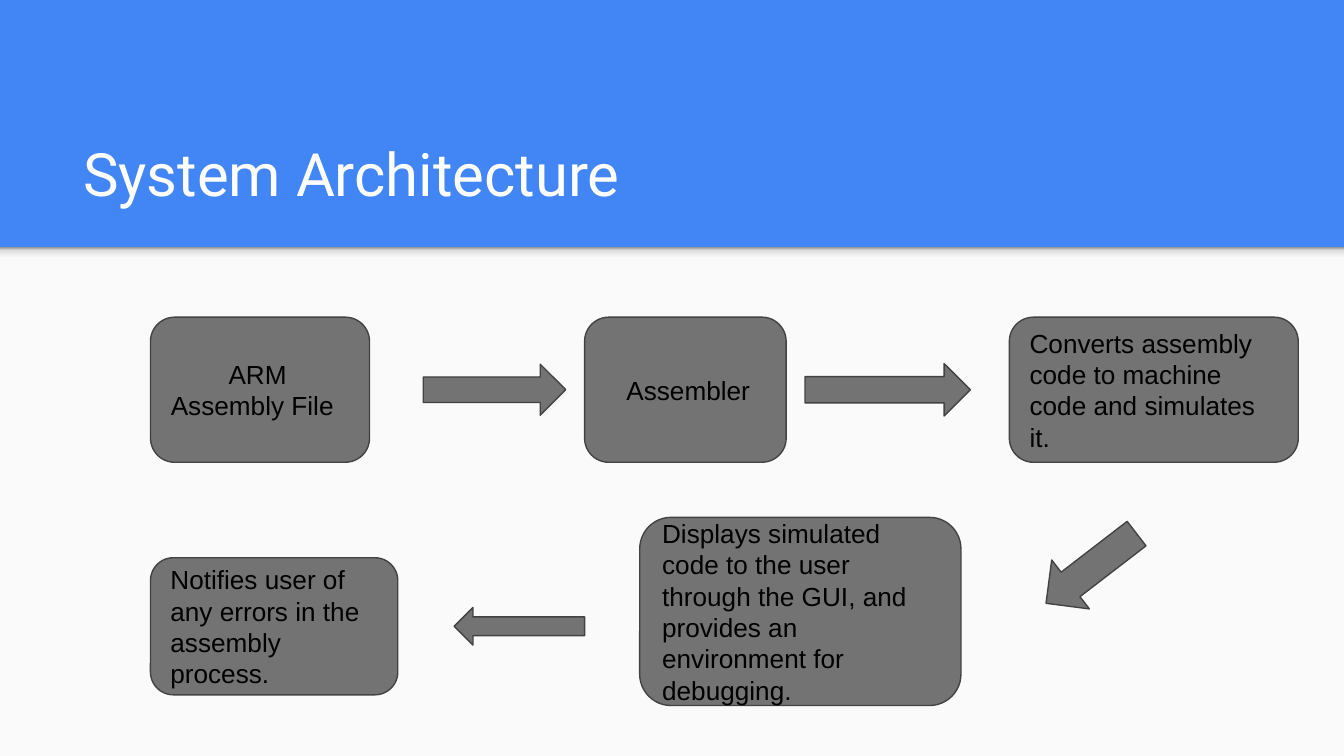
from lxml.etree import SubElement
from pptx import Presentation
from pptx.dml.color import RGBColor
from pptx.enum.shapes import MSO_SHAPE
from pptx.enum.text import MSO_ANCHOR
from pptx.oxml.ns import qn
from pptx.util import Inches, Pt

# Content
TITLE = "System Architecture"
ROW_TOP, ROW_MIDDLE, ROW_BOTTOM = 2.9, 4.55, 4.66  # centre lines of the rows
STEPS = [  # text, left, width, height, centre line, first-line indent
    ("ARM Assembly File", 1.12, 1.63, 1.08, ROW_TOP, 0.43),
    ("Assembler", 4.35, 1.5, 1.08, ROW_TOP, 0.16),
    ("Converts assembly code to machine code and simulates it.",
     7.51, 2.15, 1.08, ROW_TOP, 0),
    ("Displays simulated code to the user through the GUI, and provides "
     "an environment for debugging.", 4.76, 2.39, 1.4, ROW_MIDDLE, 0),
    ("Notifies user of any errors in the assembly process.",
     1.12, 1.84, 1.02, ROW_BOTTOM, 0),
]
ARROWS = [  # preset, left, width, height, centre line, rotation
    (MSO_SHAPE.RIGHT_ARROW, 3.15, 1.06, 0.38, ROW_TOP, 0),
    (MSO_SHAPE.RIGHT_ARROW, 5.99, 1.23, 0.39, ROW_TOP, 0),
    (MSO_SHAPE.DOWN_ARROW, 7.89, 0.46, 0.85, 4.23, 52.4),
    (MSO_SHAPE.LEFT_ARROW, 3.38, 0.97, 0.28, ROW_BOTTOM, 0),
]

THEME = {
    "header": "4285F4", "body": "FAFAFA", "fill": "737373", "line": "424242",
    "shadow": [(0, "F9F9F9"), (36, "F9F9F9"), (80, "DEDEDE"), (100, "999999")],
    "title": ("Roboto", 32, "FFFFFF"),
    "step": ("Arial", 14, "000000"),
}
WIDTH = 10
HEIGHT = WIDTH * 9 / 16
HEADER = 1.84
INSET = 0.1


def rgb(value):
    return RGBColor.from_string(value)


def add_block(s, preset, left, top, width, height, fill, line=None):
    sp = s.shapes.add_shape(preset, *map(Inches, (left, top, width, height)))
    sp.shadow.inherit = False
    sp.fill.solid()
    sp.fill.fore_color.rgb = rgb(fill)
    if line:
        sp.line.color.rgb = rgb(line)
        sp.line.width = Pt(0.75)
    else:
        sp.line.fill.background()
    return sp


def write(sp, text, style, anchor, indent=0):
    tf = sp.text_frame
    tf.word_wrap = True
    tf.vertical_anchor = anchor
    tf.margin_left = tf.margin_right = Inches(INSET)
    tf.margin_top = tf.margin_bottom = Inches(INSET)
    p = tf.paragraphs[0]
    p.text = text
    name, size, color = style
    p.font.name, p.font.size, p.font.color.rgb = name, Pt(size), rgb(color)
    pPr = p._p.get_or_add_pPr()
    pPr.set("algn", "l")
    pPr.set("indent", str(Inches(indent)))


def shade_upward(sp, stops):
    sp.fill.gradient()
    sp.fill.gradient_angle = 90
    stop_list = sp._element.spPr.find(".//" + qn("a:gsLst"))
    stop_list.clear()
    for position, color in stops:
        gs = SubElement(stop_list, qn("a:gs"), pos=str(position * 1000))
        SubElement(gs, qn("a:srgbClr"), val=color)


prs = Presentation()
prs.slide_width, prs.slide_height = Inches(WIDTH), Inches(HEIGHT)
s = prs.slides.add_slide(prs.slide_layouts[6])

# Header colour, body panel and the soft edge between them
s.background.fill.solid()
s.background.fill.fore_color.rgb = rgb(THEME["header"])
add_block(s, MSO_SHAPE.RECTANGLE, 0, HEADER, WIDTH, HEIGHT - HEADER, THEME["body"])
edge = add_block(s, MSO_SHAPE.RECTANGLE, 0, HEADER, WIDTH, 0.12, THEME["body"])
shade_upward(edge, THEME["shadow"])

# Title
title = s.shapes.add_textbox(*map(Inches, (0.52, 0.81, 8.99, 0.84)))
write(title, TITLE, THEME["title"], MSO_ANCHOR.BOTTOM)

# Steps of the flow
for text, left, width, height, centre, indent in STEPS:
    sp = add_block(s, MSO_SHAPE.ROUNDED_RECTANGLE, left, centre - height / 2,
                   width, height, THEME["fill"], THEME["line"])
    write(sp, text, THEME["step"], MSO_ANCHOR.MIDDLE, indent)

# Arrows between the steps
for preset, left, width, height, centre, rotation in ARROWS:
    sp = add_block(s, preset, left, centre - height / 2, width, height,
                   THEME["fill"], THEME["line"])
    sp.rotation = rotation

prs.save("out.pptx")
